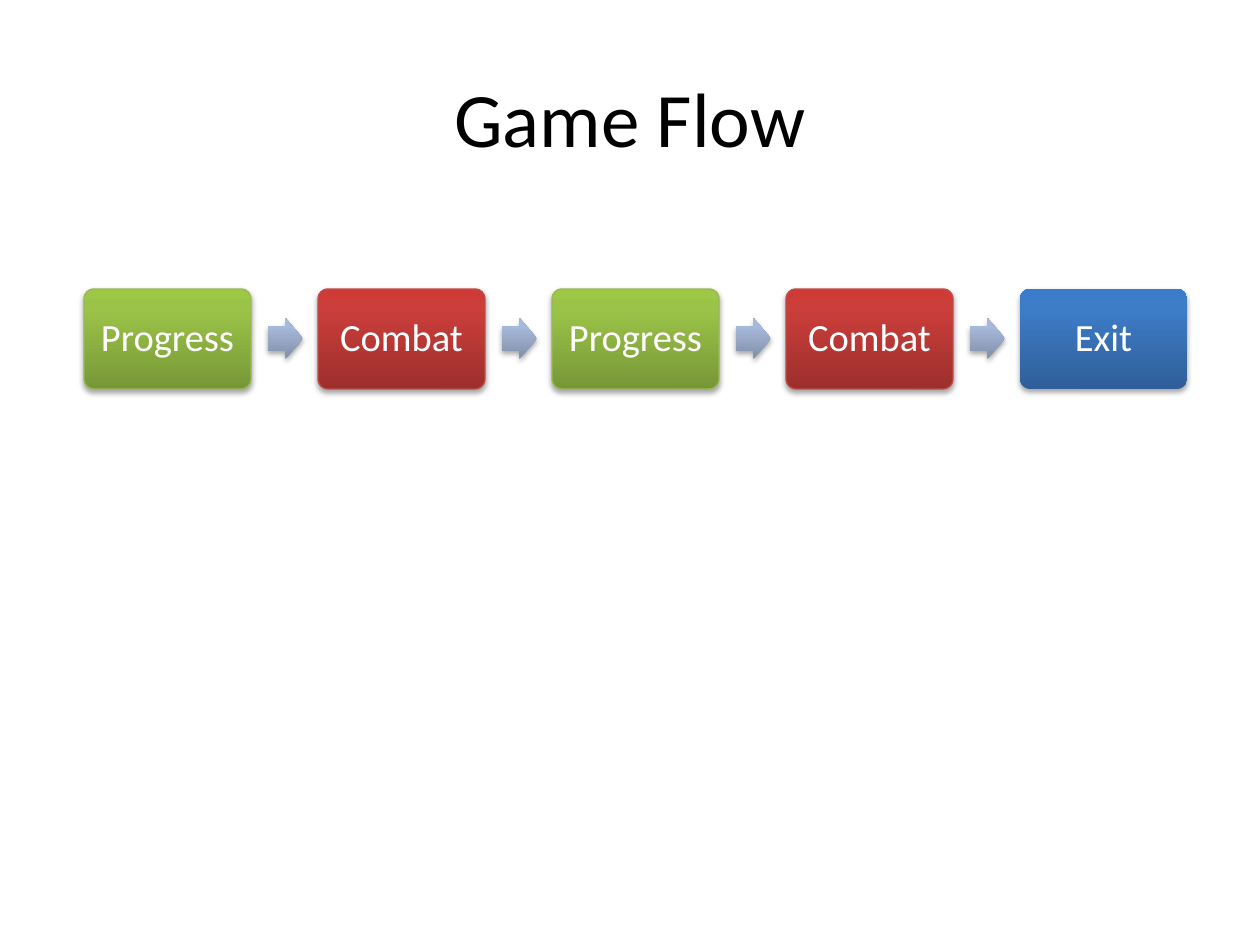
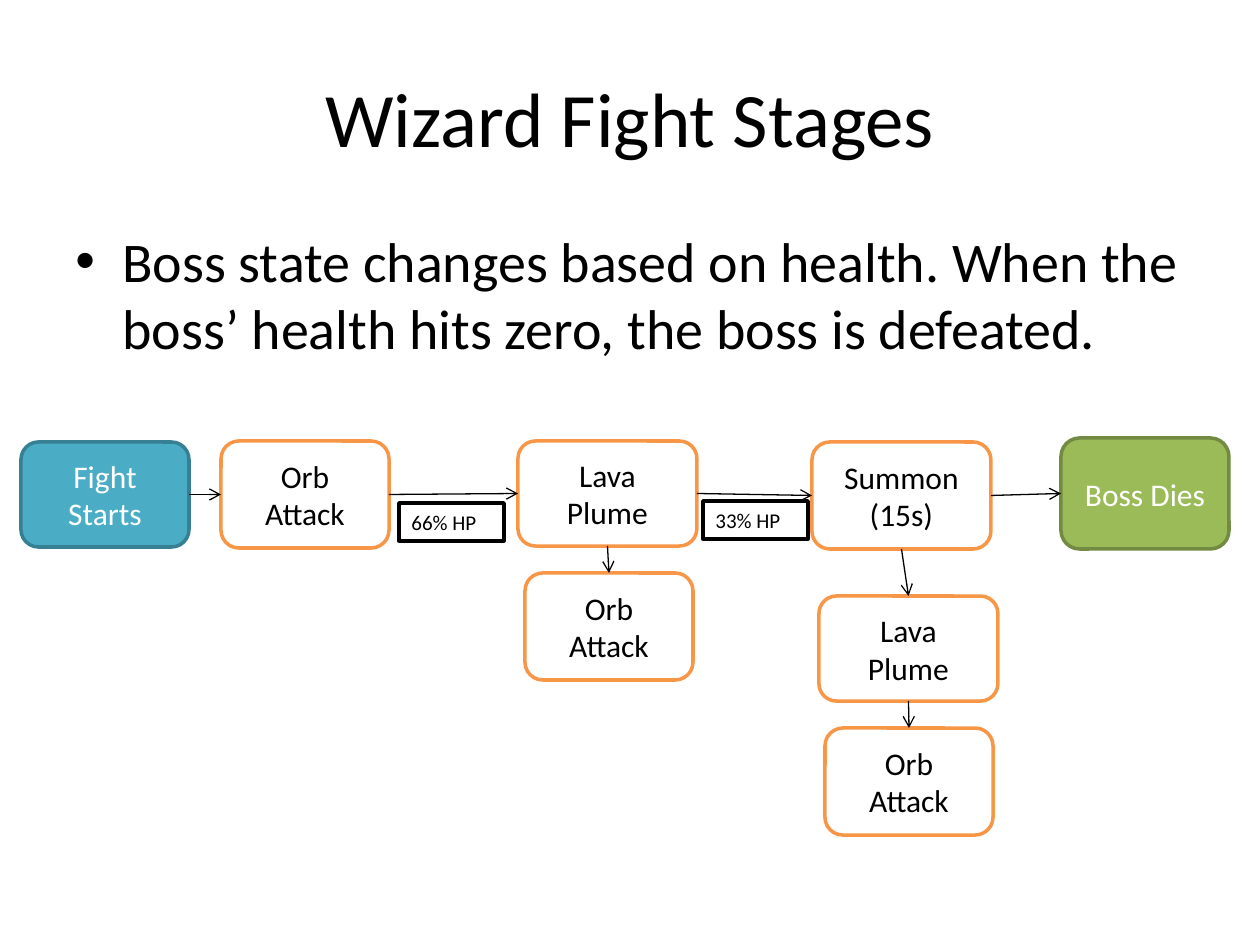
from copy import deepcopy
from dataclasses import dataclass
from typing import Optional

from lxml.etree import SubElement as Sub
from pptx import Presentation
from pptx.dml.color import RGBColor
from pptx.enum.shapes import MSO_CONNECTOR as Wire, MSO_SHAPE as Form
from pptx.enum.text import MSO_ANCHOR as Anchor, PP_ALIGN as Align
from pptx.oxml.ns import qn
from pptx.util import Emu, Pt

SCALE = 914400 / 126
FONT = "Calibri"
BLACK, WHITE, ORANGE = "000000", "FFFFFF", "F79646"
TOP, LEFT, BOTTOM, RIGHT = range(4)
MARKS = (0, 0.8, 1)


@dataclass(frozen=True)
class Tone:
    stops: tuple[str, str, str]
    edge: Optional[str] = None


@dataclass(frozen=True)
class Box:
    key: str
    label: str
    x: int
    y: int
    w: int
    h: int
    fill: str = WHITE
    edge: str = ORANGE
    ink: str = BLACK


@dataclass(frozen=True)
class Link:
    start: str
    out: int
    end: str
    into: int


@dataclass(frozen=True)
class Tag:
    label: str
    x: int
    y: int


GREEN = Tone(("779737", "9BC348", "9DC746"), "98B955")
RED = Tone(("9C2F2D", "CB3E3A", "CE3B37"), "BF4C48")
BLUE = Tone(("2F5F99", "3D7CC7", "3A7CCB"))
STEEL = Tone(("818FA8", "A7B9DA", "A7BADC"))

STEPS = [("Progress", GREEN), ("Combat", RED), ("Progress", GREEN),
         ("Combat", RED), ("Exit", BLUE)]
PITCH = 234

BOXES = [
    Box("start", "Fight Starts", 21, 442, 168, 105, "4BACC6", "377F92", WHITE),
    Box("orb", "Orb Attack", 221, 441, 168, 107),
    Box("lava", "Lava Plume", 518, 441, 179, 105),
    Box("dead", "Boss Dies", 1061, 438, 168, 111, "9BBB59", "738A42", WHITE),
    Box("summon", "Summon (15s)", 812, 442, 179, 107),
    Box("orb2", "Orb Attack", 525, 573, 168, 107),
    Box("lava2", "Lava Plume", 819, 596, 179, 105),
    Box("orb3", "Orb Attack", 825, 728, 168, 107),
]
LINKS = [
    Link("start", RIGHT, "orb", LEFT),
    Link("orb", RIGHT, "lava", LEFT),
    Link("lava", RIGHT, "summon", LEFT),
    Link("summon", RIGHT, "dead", LEFT),
    Link("lava", BOTTOM, "orb2", TOP),
    Link("summon", BOTTOM, "lava2", TOP),
    Link("lava2", BOTTOM, "orb3", TOP),
]
TAGS = [Tag("33% HP", 703, 501), Tag("66% HP", 399, 503)]


def px(n: int) -> Emu:
    return Emu(round(n * SCALE))


def hue(code: str) -> RGBColor:
    return RGBColor.from_string(code)


def write(shape, words: str, *, size: int, ink: str = BLACK, align=Align.CENTER,
          anchor=Anchor.MIDDLE, space: Optional[float] = None, dot: bool = False) -> None:
    frame = shape.text_frame
    frame.word_wrap = True
    frame.vertical_anchor = anchor
    para = frame.paragraphs[0]
    para.alignment = align
    if space:
        para.line_spacing = space
    if dot:
        para.space_before = Pt(6)
        props = para._p.get_or_add_pPr()
        props.set("marL", str(px(47)))
        props.set("indent", str(px(-47)))
        Sub(props, qn("a:buFont"), typeface="Arial")
        Sub(props, qn("a:buChar"), char="•")
    run = para.add_run()
    run.text = words
    run.font.name = FONT
    run.font.size = Pt(size)
    run.font.color.rgb = hue(ink)


def head(slide, words: str) -> None:
    box = slide.shapes.add_textbox(px(63), px(38), px(1134), px(157))
    write(box, words, size=44)


def shade(shape, tone: Tone) -> None:
    shape.fill.gradient()
    shape.fill.gradient_angle = 90
    stops = shape._element.spPr.find(".//" + qn("a:gsLst"))
    stops.append(deepcopy(stops[-1]))
    for stop, code, mark in zip(shape.fill.gradient_stops, tone.stops, MARKS):
        stop.color.rgb = hue(code)
        stop.position = mark
    if tone.edge:
        shape.line.color.rgb = hue(tone.edge)
        shape.line.width = Pt(0.75)
    else:
        shape.line.fill.background()
    shape.shadow.inherit = False
    glow = Sub(shape._element.spPr.find(qn("a:effectLst")), qn("a:outerShdw"),
               blurRad=str(Pt(3.1)), dist=str(Pt(1.8)), dir="5400000", rotWithShape="0")
    Sub(Sub(glow, qn("a:srgbClr"), val=BLACK), qn("a:alpha"), val="35000")


def plain(slide, form, x: int, y: int, w: int, h: int, fill: str, edge: str):
    shape = slide.shapes.add_shape(form, px(x), px(y), px(w), px(h))
    shape.shadow.inherit = False
    shape.fill.solid()
    shape.fill.fore_color.rgb = hue(fill)
    shape.line.color.rgb = hue(edge)
    shape.line.width = Pt(2)
    return shape


def join(slide, link: Link, nodes: dict) -> None:
    wire = slide.shapes.add_connector(Wire.STRAIGHT, 0, 0, 0, 0)
    wire.begin_connect(nodes[link.start], link.out)
    wire.end_connect(nodes[link.end], link.into)
    wire.line.color.rgb = hue(BLACK)
    wire.line.width = Pt(0.75)
    Sub(wire.line._get_or_add_ln(), qn("a:tailEnd"), type="arrow")
    Sub(wire._element.spPr, qn("a:effectLst"))


def flow(slide) -> None:
    head(slide, "Game Flow")
    for i, (label, tone) in enumerate(STEPS):
        x = 84 + i * PITCH
        if i:
            arrow = slide.shapes.add_shape(
                Form.RIGHT_ARROW, px(x - 50), px(318), px(35), px(41))
            arrow.adjustments[0] = 0.6
            arrow.adjustments[1] = 0.5
            shade(arrow, STEEL)
        step = slide.shapes.add_shape(
            Form.ROUNDED_RECTANGLE, px(x), px(289), px(167), px(100))
        step.adjustments[0] = 0.1
        shade(step, tone)
        write(step, label, size=22, ink=WHITE, space=0.9)


def fight(slide) -> None:
    head(slide, "Wizard Fight Stages")
    body = slide.shapes.add_textbox(px(63), px(220), px(1134), px(158))
    write(body, "Boss state changes based on health. When the boss’ health hits zero, "
          "the boss is defeated.", size=32, align=Align.LEFT, anchor=Anchor.TOP, dot=True)
    nodes = {}
    for b in BOXES:
        node = plain(slide, Form.ROUNDED_RECTANGLE, b.x, b.y, b.w, b.h, b.fill, b.edge)
        write(node, b.label, size=18, ink=b.ink)
        nodes[b.key] = node
    for link in LINKS:
        join(slide, link, nodes)
    for t in TAGS:
        tag = plain(slide, Form.RECTANGLE, t.x, t.y, 105, 38, WHITE, BLACK)
        write(tag, t.label, size=12, align=Align.LEFT, anchor=Anchor.TOP)


def main() -> None:
    deck = Presentation()
    deck.slide_width, deck.slide_height = px(1260), px(945)
    for draw in (flow, fight):
        draw(deck.slides.add_slide(deck.slide_layouts[6]))
    deck.save("out.pptx")


if __name__ == "__main__":
    main()
